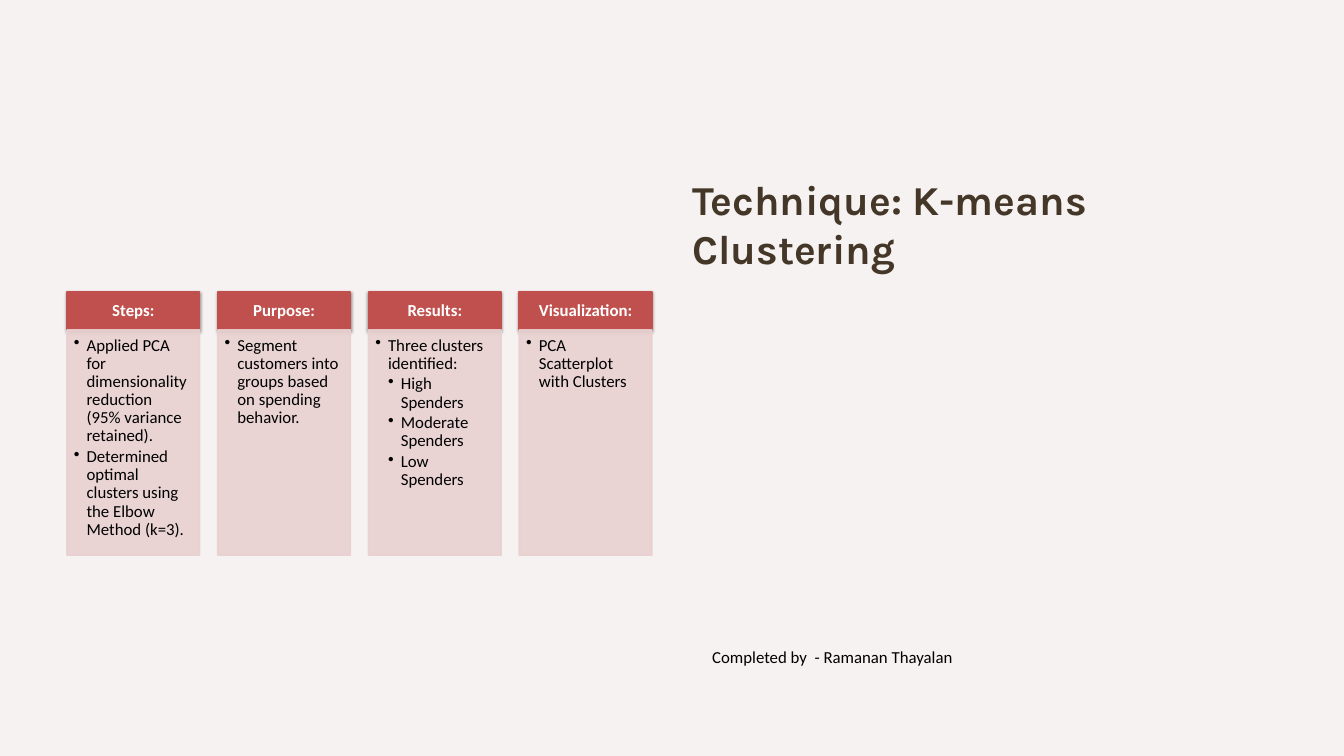
"""Build the K-means clustering technique slide."""
from dataclasses import dataclass

from lxml.etree import SubElement
from pptx import Presentation
from pptx.dml.color import RGBColor
from pptx.enum.shapes import MSO_SHAPE
from pptx.enum.text import MSO_ANCHOR as Anchor, MSO_AUTO_SIZE as AutoSize, PP_ALIGN as Align
from pptx.oxml.ns import qn
from pptx.util import Inches, Pt

TITLE = "Technique: K-means Clustering"
CREDIT = "Completed by  - Ramanan Thayalan"
CARDS = [
    ("Steps:", [
        (1, "Applied PCA for dimensionality reduction (95% variance retained)."),
        (1, "Determined optimal clusters using the Elbow Method (k=3)."),
    ]),
    ("Purpose:", [(1, "Segment customers into groups based on spending behavior.")]),
    ("Results:", [
        (1, "Three clusters identified:"),
        (2, "High Spenders"),
        (2, "Moderate Spenders"),
        (2, "Low Spenders"),
    ]),
    ("Visualization:", [(1, "PCA Scatterplot with Clusters")]),
]


@dataclass(frozen=True)
class Theme:
    background: str = "F6F2F1"
    title: str = "443728"
    header: str = "C0504D"
    panel: str = "E8D0D0"
    light: str = "FFFFFF"
    dark: str = "000000"
    title_font: str = "Karla"
    body_font: str = "Calibri"
    title_size: int = 44
    body_size: int = 18


THEME = Theme()
CARDS_LEFT, CARDS_WIDTH, CARD_WIDTH = 1, 8.7, 1.97
HEADER_TOP, HEADER_HEIGHT, PANEL_HEIGHT = 4.34, 0.57, 3.35
BULLET_INDENT = 0.19


def set_frame(shape, insets, anchor=Anchor.TOP):
    names = ("margin_left", "margin_top", "margin_right", "margin_bottom")
    values = dict(zip(names, map(Inches, insets)))
    values.update(word_wrap=True, auto_size=AutoSize.NONE, vertical_anchor=anchor)
    for name, value in values.items():
        setattr(shape.text_frame, name, value)


def write(paragraph, text, color, font=THEME.body_font, size=THEME.body_size, bold=False, **layout):
    for name, value in layout.items():
        setattr(paragraph, name, value)
    run = paragraph.add_run()
    run.text = text
    for name, value in {"name": font, "size": Pt(size), "bold": bold}.items():
        setattr(run.font, name, value)
    run.font.color.rgb = RGBColor.from_string(color)


def add_bullet(paragraph, level):
    properties = paragraph._p.get_or_add_pPr()
    properties.set("marL", str(Inches(BULLET_INDENT * level)))
    properties.set("indent", str(-Inches(BULLET_INDENT)))
    SubElement(properties, qn("a:buChar"), char="•")


def add_block(slide, left, top, height, color):
    shape = slide.shapes.add_shape(
        MSO_SHAPE.RECTANGLE, Inches(left), Inches(top), Inches(CARD_WIDTH), Inches(height))
    shape.shadow.inherit = False
    shape.line.width = Pt(2)
    shape.fill.solid()
    for fill in (shape.fill, shape.line):
        target = fill.fore_color if fill is shape.fill else fill.color
        target.rgb = RGBColor.from_string(color)
    return shape


def add_shadow(shape):
    effects = shape._element.spPr.find(qn("a:effectLst"))
    shadow = SubElement(effects, qn("a:outerShdw"), blurRad=str(Pt(3.1)), dist=str(Pt(1.6)),
                        dir="5400000", rotWithShape="0")
    color = SubElement(shadow, qn("a:srgbClr"), val=THEME.dark)
    SubElement(color, qn("a:alpha"), val="38000")


def add_card(slide, left, heading, items):
    header = add_block(slide, left, HEADER_TOP, HEADER_HEIGHT, THEME.header)
    add_shadow(header)
    set_frame(header, (0.14, 0.08, 0.14, 0.08), Anchor.MIDDLE)
    write(header.text_frame.paragraphs[0], heading, THEME.light, bold=True,
          alignment=Align.CENTER, line_spacing=0.9)

    panel = add_block(slide, left, HEADER_TOP + HEADER_HEIGHT, PANEL_HEIGHT, THEME.panel)
    for color in panel._element.spPr.iter(qn("a:srgbClr")):
        SubElement(color, qn("a:alpha"), val="90000")
    set_frame(panel, (0.1, 0.1, 0.14, 0.16))
    frame = panel.text_frame
    for index, (level, text) in enumerate(items):
        paragraph = frame.add_paragraph() if index else frame.paragraphs[0]
        write(paragraph, text, THEME.dark, alignment=Align.LEFT, level=level,
              line_spacing=0.9, space_after=Pt(0.15 * THEME.body_size))
        add_bullet(paragraph, level)


def main():
    presentation = Presentation()
    presentation.slide_width, presentation.slide_height = Inches(20), Inches(11.25)
    slide = presentation.slides.add_slide(presentation.slide_layouts[5])
    slide.background.fill.solid()
    slide.background.fill.fore_color.rgb = RGBColor.from_string(THEME.background)

    title = slide.shapes.title
    for name, value in {"left": 10.3, "top": 2.59, "width": 8.7, "height": 7.42}.items():
        setattr(title, name, Inches(value))
    set_frame(title, (0, 0, 0, 0))
    write(title.text_frame.paragraphs[0], TITLE, THEME.title, THEME.title_font,
          THEME.title_size, True, alignment=Align.LEFT, space_after=Pt(6))

    pitch = (CARDS_WIDTH - CARD_WIDTH) / (len(CARDS) - 1)
    for index, (heading, items) in enumerate(CARDS):
        add_card(slide, CARDS_LEFT + index * pitch, heading, items)

    credit = slide.shapes.add_textbox(Inches(10.5), Inches(9.58), Inches(9.5), Inches(0.4))
    set_frame(credit, (0.1, 0.05, 0.1, 0.05))
    write(credit.text_frame.paragraphs[0], CREDIT, THEME.dark)
    presentation.save("out.pptx")


if __name__ == "__main__":
    main()
